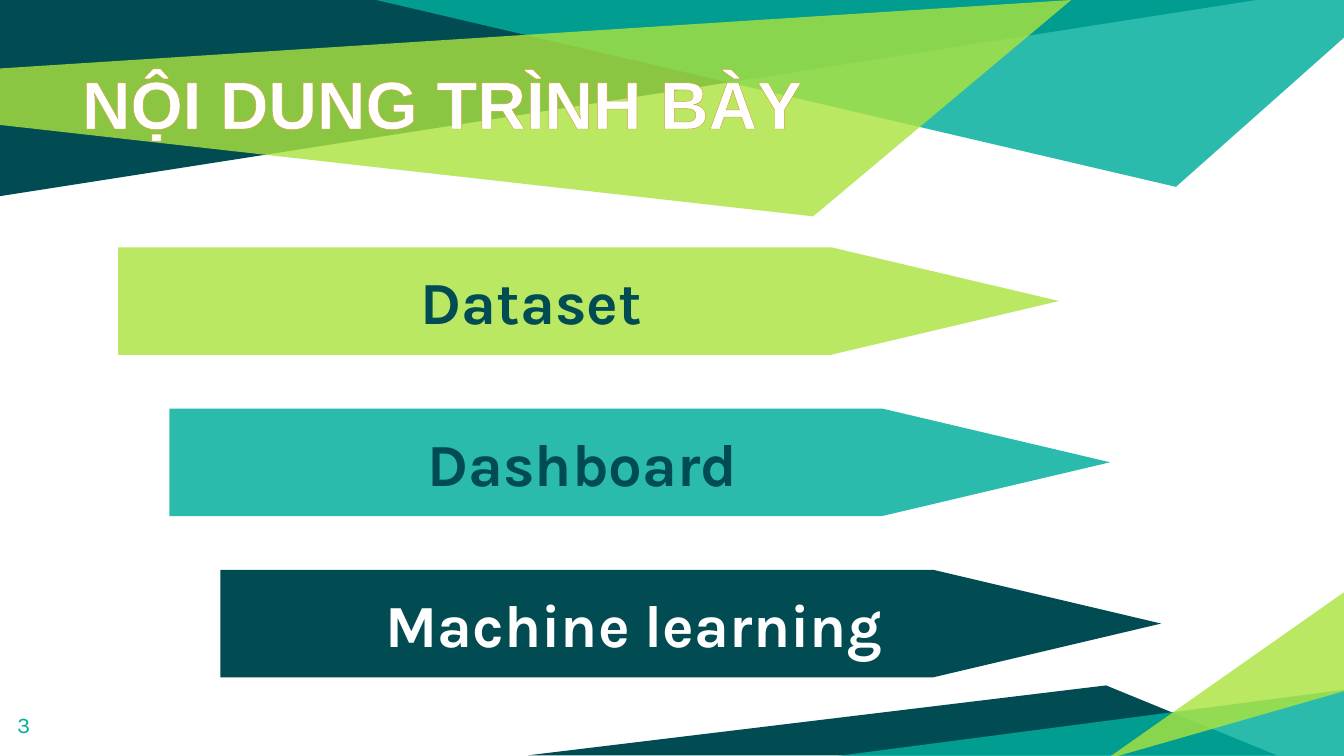
from dataclasses import dataclass

from lxml import etree
from pptx import Presentation
from pptx.dml.color import RGBColor
from pptx.enum.shapes import MSO_SHAPE
from pptx.enum.text import MSO_ANCHOR, MSO_AUTO_SIZE, PP_ALIGN
from pptx.oxml.ns import qn
from pptx.util import Pt

PX = 9144  # EMU per px, 100 px to the inch
SLIDE_W = 1000
PENTAGON = MSO_SHAPE.PENTAGON
LEFT, CENTER = PP_ALIGN.LEFT, PP_ALIGN.CENTER
TOP, MIDDLE = MSO_ANCHOR.TOP, MSO_ANCHOR.MIDDLE
NO_FIT = MSO_AUTO_SIZE.NONE


@dataclass(frozen=True)
class Theme:
    # Fills are (colour, opacity in percent)
    dark: tuple = ("004C52", 100)
    teal: tuple = ("00AE9D", 83)
    lime: tuple = ("ABE33F", 81)
    white: str = "FFFFFF"
    outline: str = "D89F39"
    title_font: str = "Arial"
    body_font: str = "Karla"
    title_size: int = 36
    band_size: int = 32
    number_size: int = 12
    inset: int = 10


THEME = Theme()


def emu(*lengths):
    return [n * PX for n in lengths]


def paint(s, fill):
    """Flat fill with opacity, no line and no shadow."""
    color, opacity = fill
    s.shadow.inherit = False
    s.line.fill.background()
    s.fill.solid()
    s.fill.fore_color.rgb = RGBColor.from_string(color)
    if opacity < 100:
        clr = s.fill._xPr.find(qn("a:solidFill"))[0]
        etree.SubElement(clr, qn("a:alpha"), val=str(opacity * 1000))


def write(s, text, font, size, color, bold=False, align=LEFT, anchor=TOP):
    """Put one paragraph in a shape."""
    tf = s.text_frame
    tf.word_wrap = True
    tf.auto_size = NO_FIT
    tf.vertical_anchor = anchor
    tf.margin_left = tf.margin_right = THEME.inset * PX
    tf.margin_top = tf.margin_bottom = THEME.inset * PX
    p = tf.paragraphs[0]
    p.alignment = align
    r = p.add_run()
    r.text = text
    p.font.name = font
    p.font.size = Pt(size)
    p.font.bold = bold
    p.font.color.rgb = RGBColor.from_string(color)
    return r


def add_facets(slide, box, facets):
    """Overlapping polygons, with points relative to the box."""
    left, top = box
    for fill, points in facets:
        points = [(left + x, top + y) for x, y in points]
        fb = slide.shapes.build_freeform(*points[0], scale=PX)
        fb.add_line_segments(points[1:], close=True)
        paint(fb.convert_to_shape(), fill)


def add_header(slide, box):
    add_facets(slide, box, [
        (THEME.dark, [(0, 0), (0, 146), (935, 0)]),
        (THEME.teal, [(280, 0), (875, 139), (1000, 28), (1000, 0)]),
        (THEME.lime, [(-1, 51), (0, 93), (605, 161), (797, 0)]),
    ])


def add_footer(slide, box):
    add_facets(slide, box, [
        (THEME.dark, [(0, 122), (557, 122), (430, 70)]),
        (THEME.teal, [(609, 73), (609, 125), (211, 125)]),
        (THEME.lime, [(608, 74), (608, 0), (430, 125)]),
    ])


def add_title(slide, box, text):
    s = slide.shapes.title
    s.left, s.top, s.width, s.height = emu(*box)
    r = write(s, text, THEME.title_font, THEME.title_size, THEME.white,
              bold=True)
    # Thin outline around the letters
    ln = etree.Element(qn("a:ln"), w=str(Pt(0.52)))
    solid = etree.SubElement(ln, qn("a:solidFill"))
    etree.SubElement(solid, qn("a:srgbClr"), val=THEME.outline)
    r.font._element.insert(0, ln)
    # Bring the title in front of the header
    slide.shapes._spTree.append(s._element)


def add_bands(slide, box, bands):
    """Pointed bands, each one a step to the right and down."""
    left, top, width, height = box
    step_x, step_y = 38, 120
    for i, (text, fill, color) in enumerate(bands):
        s = slide.shapes.add_shape(PENTAGON, *emu(
            left + i * step_x, top + i * step_y, width, height))
        s.adjustments[0] = 2.12
        paint(s, fill)
        write(s, text, THEME.body_font, THEME.band_size, color,
              bold=True, align=CENTER, anchor=MIDDLE)


def add_number(slide, box, text):
    s = slide.shapes.add_textbox(*emu(*box))
    write(s, text, THEME.body_font, THEME.number_size, THEME.teal[0])


def main():
    prs = Presentation()
    prs.slide_width = SLIDE_W * PX
    prs.slide_height = prs.slide_width * 9 // 16
    slide = prs.slides.add_slide(prs.slide_layouts.get_by_name("Title Only"))

    add_header(slide, (0, 0))
    add_footer(slide, (393, 440))
    add_title(slide, (51, 36, 806, 94), "NỘI DUNG TRÌNH BÀY")
    add_bands(slide, (88, 184, 700, 80), [
        ("Dataset", THEME.lime, THEME.dark[0]),
        ("Dashboard", THEME.teal, THEME.dark[0]),
        ("Machine learning", THEME.dark, THEME.white),
    ])
    add_number(slide, (3, 519, 60, 43), "3")
    prs.save("out.pptx")


if __name__ == "__main__":
    main()
